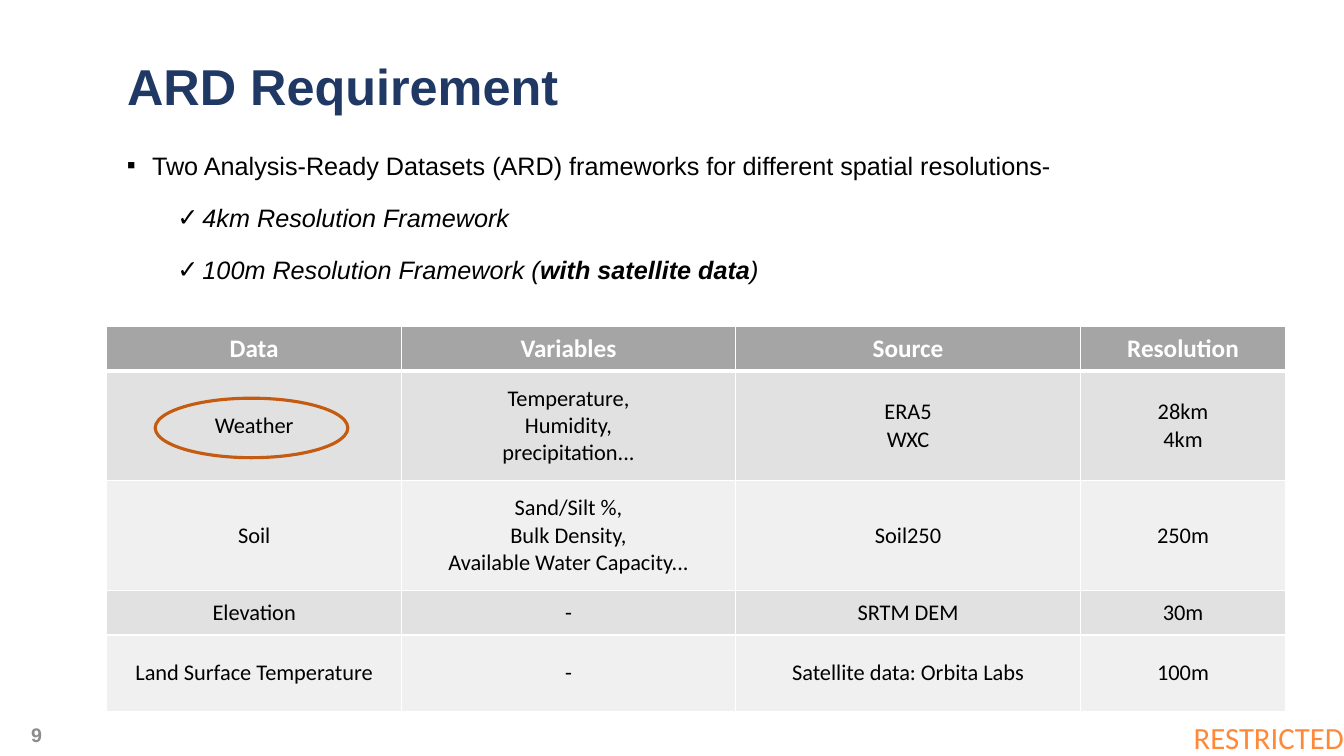
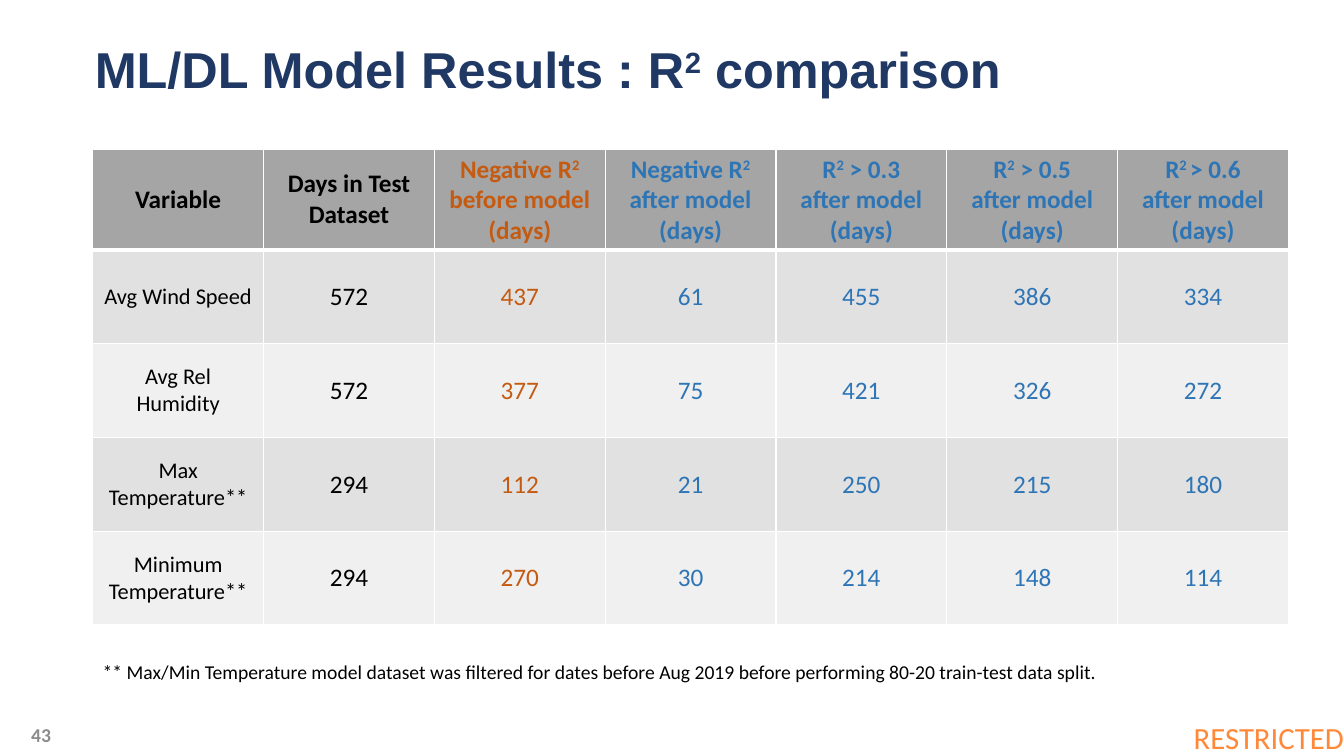
from dataclasses import dataclass

from lxml import etree
from pptx import Presentation
from pptx.dml.color import RGBColor
from pptx.enum.shapes import MSO_SHAPE
from pptx.enum.text import MSO_ANCHOR, MSO_AUTO_SIZE, PP_ALIGN
from pptx.oxml.ns import qn
from pptx.util import Inches, Pt

LEFT, CENTER = PP_ALIGN.LEFT, PP_ALIGN.CENTER
TOP, MIDDLE = MSO_ANCHOR.TOP, MSO_ANCHOR.MIDDLE
NO_AUTOFIT = MSO_AUTO_SIZE.NONE
ELLIPSE = MSO_SHAPE.OVAL

SLIDE_WIDTH, SLIDE_HEIGHT = Inches(13.33), Inches(7.5)
TITLE_ONLY_LAYOUT = 5
PLAIN_TABLE_STYLE = "{2D5ABB26-0587-4C30-8999-92F81FD0307C}"
EMPHASIS_MARK = "|"


@dataclass(frozen=True)
class Theme:
    heading_font: str = "Arial"
    body_font: str = "Calibri"
    black: str = "000000"
    white: str = "FFFFFF"
    navy: str = "203864"
    orange: str = "C55A11"
    blue: str = "2E75B6"
    restricted: str = "FF8939"
    page_grey: str = "8C8C8C"
    header_fill: str = "A5A5A5"
    band_fills: tuple = ("E1E1E1", "F0F0F0")
    title_size: int = 36
    restricted_size: int = 22
    text_size: int = 18
    cell_size: int = 16
    small_size: int = 14
    border: int = 1
    header_border: int = 3


THEME = Theme()


def share_box(left, top, width, height):
    """Turn percentages of the slide's size into lengths."""
    return (
        int(SLIDE_WIDTH * left / 100),
        int(SLIDE_HEIGHT * top / 100),
        int(SLIDE_WIDTH * width / 100),
        int(SLIDE_HEIGHT * height / 100),
    )


def split_length(total, weights):
    return [int(total * weight / sum(weights)) for weight in weights]


def superscript(run):
    run._r.get_or_add_rPr().set("baseline", "30000")


def embolden(run):
    run.font.bold = True


def add_runs(paragraph, text, emphasise=superscript):
    """Add text, emphasising every part between two marks."""
    for index, part in enumerate(text.split(EMPHASIS_MARK)):
        if part:
            run = paragraph.add_run()
            run.text = part
            if index % 2:
                emphasise(run)


def style_font(paragraph, size, color, name=THEME.body_font, bold=False, italic=False):
    font = paragraph.font
    font.name, font.size = name, Pt(size)
    font.bold, font.italic = bold, italic
    font.color.rgb = RGBColor.from_string(color)


def add_text_box(slide, box, anchor=TOP):
    text_frame = slide.shapes.add_textbox(*share_box(*box)).text_frame
    text_frame.word_wrap = True
    text_frame.vertical_anchor = anchor
    return text_frame


def set_title(slide, text, left, top):
    title = slide.shapes.title
    title.left, title.top, title.width, title.height = share_box(left, top, 75, 10.67)
    text_frame = title.text_frame
    text_frame.auto_size = NO_AUTOFIT
    text_frame.word_wrap = True
    text_frame.vertical_anchor = MIDDLE
    paragraph = text_frame.paragraphs[0]
    paragraph.alignment = LEFT
    paragraph.line_spacing = 0.9
    add_runs(paragraph, text)
    style_font(paragraph, THEME.title_size, THEME.navy, THEME.heading_font, bold=True)


def add_footer(slide, page_number, number_font):
    marking = add_text_box(slide, (88.82, 95.07, 11.78, 4.93))
    marking.margin_left = marking.margin_right = 0
    marking.margin_top = marking.margin_bottom = 0
    add_runs(marking.paragraphs[0], "RESTRICTED")
    style_font(marking.paragraphs[0], THEME.restricted_size, THEME.restricted)

    number = add_text_box(slide, (1.58, 94.53, 22.5, 5.33), MIDDLE)
    add_runs(number.paragraphs[0], page_number)
    style_font(number.paragraphs[0], THEME.small_size, THEME.page_grey,
               number_font, bold=True)


def add_slide(presentation, title, left, top, page_number, number_font):
    slide = presentation.slides.add_slide(presentation.slide_layouts[TITLE_ONLY_LAYOUT])
    set_title(slide, title, left, top)
    add_footer(slide, page_number, number_font)
    return slide


def set_bullet(paragraph, character, indent):
    properties = paragraph._p.get_or_add_pPr()
    properties.set("marL", str(Inches(indent)))
    properties.set("indent", str(-Inches(0.25)))
    etree.SubElement(properties, qn("a:buFont")).set("typeface", THEME.heading_font)
    etree.SubElement(properties, qn("a:buChar")).set("char", character)


def add_bullets(slide, box, items):
    text_frame = add_text_box(slide, box)
    for index, (level, text) in enumerate(items):
        paragraph = text_frame.add_paragraph() if index else text_frame.paragraphs[0]
        set_bullet(paragraph, "▪✓"[level], 0.25 + 0.5 * level)
        paragraph.level = level
        paragraph.line_spacing = 1.5
        if index:
            paragraph.space_before = Pt(5)
        add_runs(paragraph, text, embolden)
        style_font(paragraph, THEME.text_size, THEME.black, THEME.heading_font,
                   italic=level > 0)


def set_cell_borders(cell, top, bottom):
    properties = cell._tc.get_or_add_tcPr()
    widths = {"a:lnL": THEME.border, "a:lnR": THEME.border, "a:lnT": top, "a:lnB": bottom}
    for position, (tag, width) in enumerate(widths.items()):
        line = etree.Element(qn(tag), w=str(Pt(width)))
        fill = etree.SubElement(line, qn("a:solidFill"))
        etree.SubElement(fill, qn("a:srgbClr")).set("val", THEME.white)
        properties.insert(position, line)


def fill_cell(cell, text, fill, size, color, bold):
    cell.fill.solid()
    cell.fill.fore_color.rgb = RGBColor.from_string(fill)
    cell.vertical_anchor = MIDDLE
    for index, line in enumerate(text.split("\n")):
        text_frame = cell.text_frame
        paragraph = text_frame.add_paragraph() if index else text_frame.paragraphs[0]
        paragraph.alignment = CENTER
        add_runs(paragraph, line)
        style_font(paragraph, size, color, bold=bold)


def add_data_table(slide, box, rows, column_weights, row_weights,
                   header_colors, body_colors, body_sizes):
    """Add a grey banded table; colours and sizes are given per column."""
    left, top, width, height = share_box(*box)
    frame = slide.shapes.add_table(len(rows), len(rows[0]), left, top, width, height)
    table = frame.table
    table.first_row = table.horz_banding = False
    table._tbl.tblPr.find(qn("a:tableStyleId")).text = PLAIN_TABLE_STYLE
    for column, length in zip(table.columns, split_length(width, column_weights)):
        column.width = length
    for row, length in zip(table.rows, split_length(height, row_weights)):
        row.height = length
    for row_index, texts in enumerate(rows):
        is_header = row_index == 0
        fill = THEME.header_fill if is_header else THEME.band_fills[(row_index - 1) % 2]
        top_border = THEME.header_border if row_index == 1 else THEME.border
        bottom_border = THEME.header_border if is_header else THEME.border
        for column_index, text in enumerate(texts):
            cell = table.cell(row_index, column_index)
            size = THEME.text_size if is_header else body_sizes[column_index]
            colors = header_colors if is_header else body_colors
            fill_cell(cell, text, fill, size, colors[column_index], is_header)
            set_cell_borders(cell, top_border, bottom_border)


def add_highlight_ring(slide, box):
    ring = slide.shapes.add_shape(ELLIPSE, *share_box(*box))
    ring.shadow.inherit = False
    ring.fill.background()
    ring.line.color.rgb = RGBColor.from_string(THEME.orange)
    ring.line.width = Pt(2.25)


def build_requirement_slide(presentation):
    slide = add_slide(presentation, "ARD Requirement", 8.7, 6.4, "9", THEME.heading_font)
    add_bullets(slide, (8.7, 17.2, 83.42, 21.87), [
        (0, "Two Analysis-Ready Datasets (ARD) frameworks for different spatial resolutions-"),
        (1, "4km Resolution Framework"),
        (1, "100m Resolution Framework (|with satellite data|)"),
    ])
    rows = [
        ("Data", "Variables", "Source", "Resolution"),
        ("Weather", "Temperature,\nHumidity,\nprecipitation...", "ERA5\nWXC", "28km\n4km"),
        ("Soil", "Sand/Silt %,\nBulk Density,\nAvailable Water Capacity...",
         "Soil250", "250m"),
        ("Elevation", "-", "SRTM DEM", "30m"),
        ("Land Surface Temperature", "-", "Satellite data: Orbita Labs", "100m"),
    ]
    add_data_table(
        slide, (7.95, 43.2, 87.7, 50.93), rows,
        column_weights=(2.92, 3.31, 3.42, 2.03),
        row_weights=(0.44, 1.09, 1.09, 0.44, 0.76),
        header_colors=[THEME.white] * 4,
        body_colors=[THEME.black] * 4,
        body_sizes=[THEME.cell_size] * 4,
    )
    add_highlight_ring(slide, (11.55, 52.67, 14.33, 7.87))


def build_results_slide(presentation):
    slide = add_slide(presentation, "ML/DL Model Results : R|2| comparison",
                      6.3, 4.27, "43", THEME.body_font)
    after_model = "\nafter model\n(days)"
    measures = ("Negative R|2|", "R|2| > 0.3", "R|2| > 0.5", "R|2 |> 0.6")
    rows = [
        ("Variable", "Days in Test Dataset", "Negative R|2|\nbefore model\n(days)",
         *(measure + after_model for measure in measures)),
        ("Avg Wind Speed", "572", "437", "61", "455", "386", "334"),
        ("Avg Rel Humidity", "572", "377", "75", "421", "326", "272"),
        ("Max Temperature**", "294", "112", "21", "250", "215", "180"),
        ("Minimum Temperature**", "294", "270", "30", "214", "148", "114"),
    ]
    colors = [THEME.black] * 2 + [THEME.orange] + [THEME.blue] * 4
    add_data_table(
        slide, (6.9, 19.73, 88.97, 62.8), rows,
        column_weights=[1] * 7,
        row_weights=(0.99, 0.93, 0.93, 0.93, 0.93),
        header_colors=colors,
        body_colors=colors,
        body_sizes=[THEME.cell_size] + [THEME.text_size] * 6,
    )
    note = add_text_box(slide, (6.9, 86.67, 82.07, 4.53)).paragraphs[0]
    add_runs(note, "** Max/Min Temperature model dataset was filtered for dates before "
                   "Aug 2019 before performing 80-20 train-test data split.")
    style_font(note, THEME.small_size, THEME.black)


def main():
    presentation = Presentation()
    presentation.slide_width, presentation.slide_height = SLIDE_WIDTH, SLIDE_HEIGHT
    build_requirement_slide(presentation)
    build_results_slide(presentation)
    presentation.save("out.pptx")


if __name__ == "__main__":
    main()
